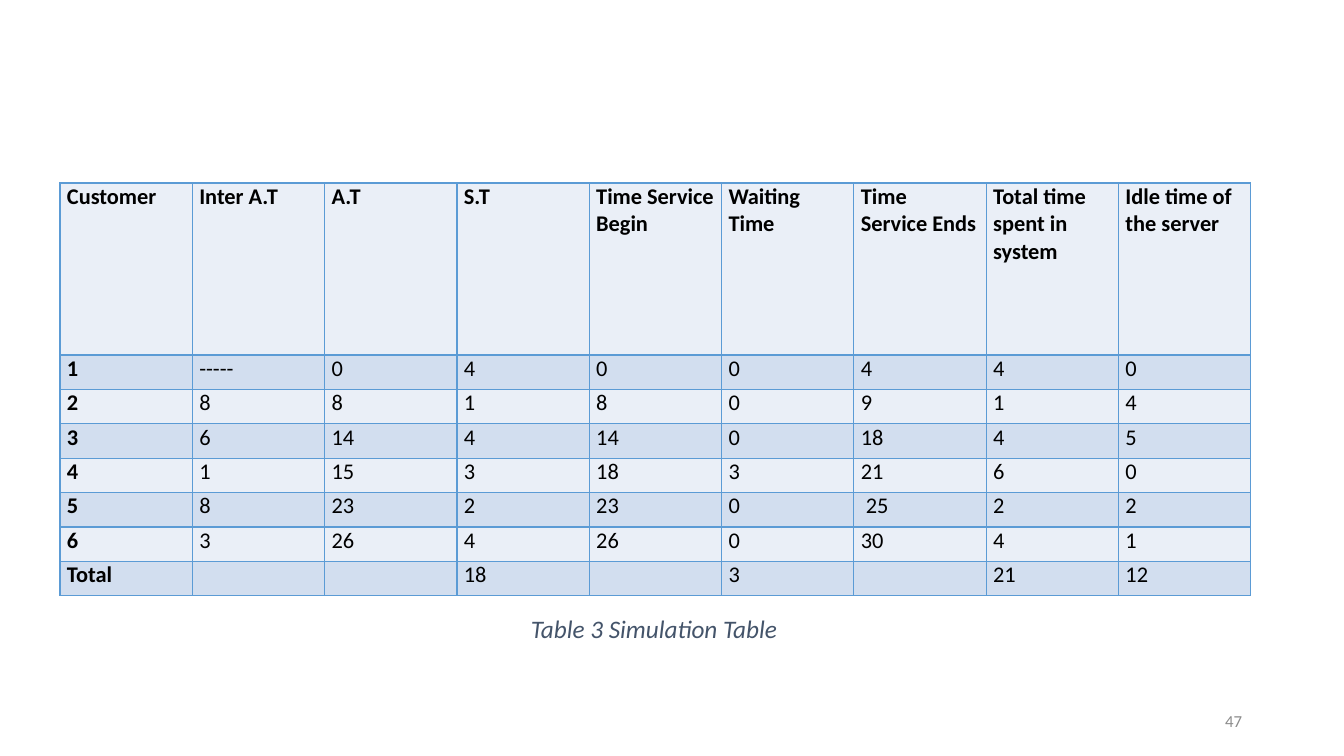
from pptx import Presentation
from pptx.dml.color import RGBColor
from pptx.enum.text import MSO_ANCHOR, MSO_AUTO_SIZE, PP_ALIGN
from pptx.oxml import parse_xml
from pptx.oxml.ns import nsdecls
from pptx.util import Pt

LEFT, RIGHT = PP_ALIGN.LEFT, PP_ALIGN.RIGHT
TOP, MIDDLE = MSO_ANCHOR.TOP, MSO_ANCHOR.MIDDLE
GROW = MSO_AUTO_SIZE.SHAPE_TO_FIT_TEXT
PX = 914400 / 100.8
THEME = {
    "font": "Calibri",
    "ink": "000000", "muted": "8C8C8C", "slate": "44546A",
    "bands": ("EAEFF7", "D2DEEF"), "edge": "5B9BD5",
    "cell": 16, "note": 18, "page": 12,
}
ROWS = [
    ["Customer", "Inter A.T", "A.T", "S.T", "Time Service Begin", "Waiting\nTime",
     "Time\nService Ends", "Total time spent in system", "Idle time of the server"],
    ["1", "-----", "0", "4", "0", "0", "4", "4", "0"],
    ["2", "8", "8", "1", "8", "0", "9", "1", "4"],
    ["3", "6", "14", "4", "14", "0", "18", "4", "5"],
    ["4", "1", "15", "3", "18", "3", "21", "6", "0"],
    ["5", "8", "23", "2", "23", "0", " 25", "2", "2"],
    ["6", "3", "26", "4", "26", "0", "30", "4", "1"],
    ["Total", "", "", "18", "", "3", "", "21", "12"],
]


def px(n):
    return round(n * PX)


def write(frame, text, size, color, bold=False, italic=False, align=LEFT, after=0):
    for i, line in enumerate(text.split("\n")):
        para = frame.paragraphs[0] if i == 0 else frame.add_paragraph()
        para.alignment = align
        para.space_after = Pt(after)
        run = para.add_run()
        run.text = line
        font = run.font
        font.name = THEME["font"]
        font.size = Pt(size)
        font.bold = bold
        font.italic = italic
        font.color.rgb = RGBColor.from_string(color)


deck = Presentation()
deck.slide_width, deck.slide_height = px(1344), px(756)
slide = deck.slides.add_slide(deck.slide_layouts[6])
shapes = slide.shapes

page = shapes.add_textbox(px(950), px(701), px(302), px(40)).text_frame
page.word_wrap = True
page.vertical_anchor = MIDDLE
write(page, "47", THEME["page"], THEME["muted"], align=RIGHT)

count = len(ROWS[0])
grid = shapes.add_table(len(ROWS), count, px(60), px(183), px(1191), px(413)).table
grid.first_row = grid.horz_banding = False
for col in grid.columns:
    col.width = px(1191 / count)
for r, row in enumerate(ROWS):
    grid.rows[r].height = px(172 if r == 0 else 241 / (len(ROWS) - 1))
    for c, text in enumerate(row):
        cell = grid.cell(r, c)
        cell.margin_left = cell.margin_right = px(7)
        cell.margin_top = cell.margin_bottom = 0
        cell.vertical_anchor = TOP
        props = cell._tc.get_or_add_tcPr()
        for side in "LRTB":
            props.append(parse_xml(
                f'<a:ln{side} {nsdecls("a")} w="{Pt(1)}"><a:solidFill>'
                f'<a:srgbClr val="{THEME["edge"]}"/></a:solidFill></a:ln{side}>'))
        cell.fill.solid()
        cell.fill.fore_color.rgb = RGBColor.from_string(THEME["bands"][r % 2])
        if text:
            write(cell.text_frame, text, THEME["cell"], THEME["ink"],
                  bold=r == 0 or c == 0)

note = shapes.add_textbox(px(521), px(608), px(269), px(40)).text_frame
note.word_wrap = False
note.auto_size = GROW
write(note, "Table 3 Simulation Table", THEME["note"], THEME["slate"],
      italic=True, after=10)

deck.save("out.pptx")
